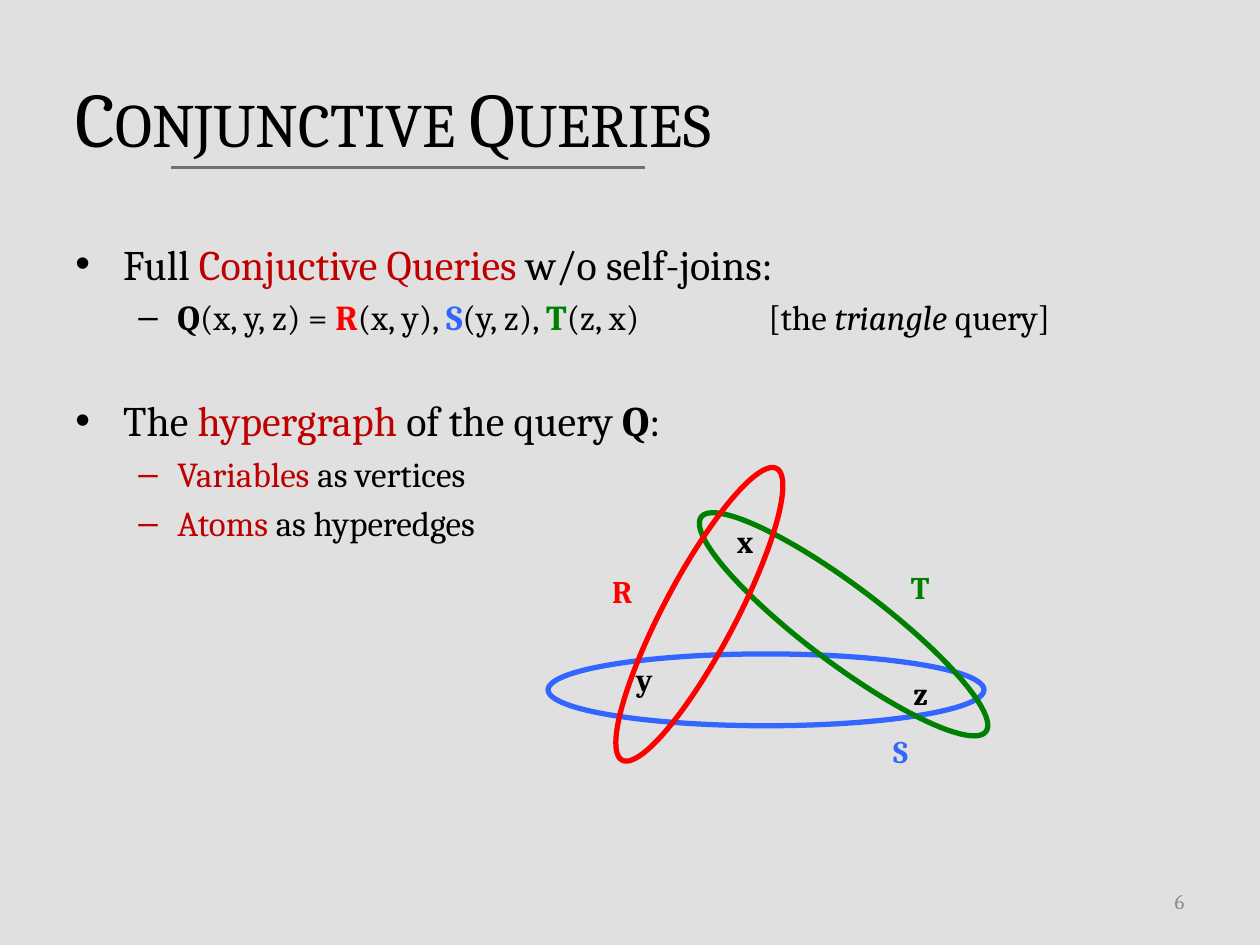
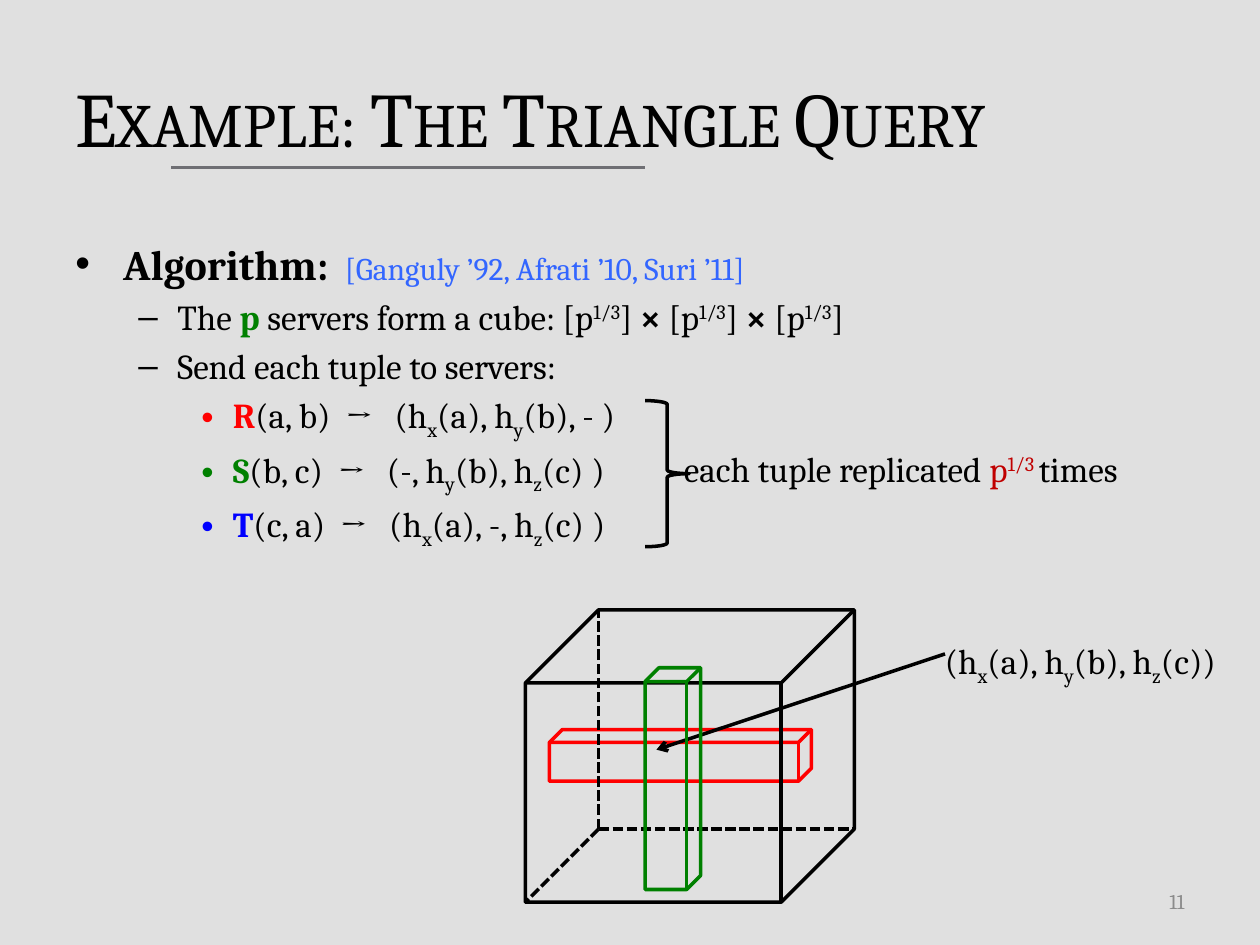
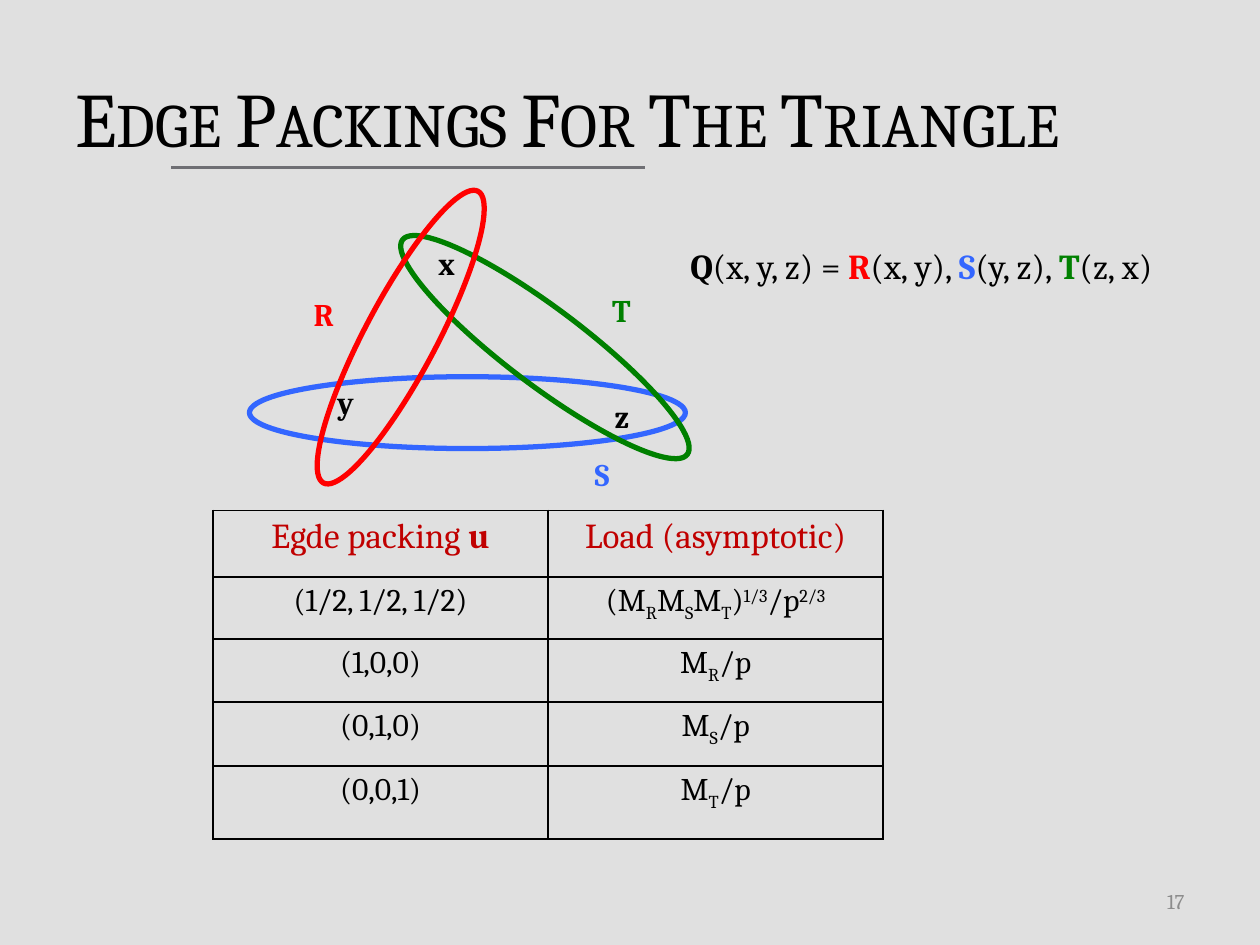
from lxml import etree
from pptx import Presentation
from pptx.dml.color import RGBColor
from pptx.enum import dml, shapes, text
from pptx.oxml.ns import qn
from pptx.util import Inches, Pt

FONT = "Cambria"
BLACK, RED, GREEN = "000000", "FF0000", "008000"
BLUE, NAVY, WINE = "3366FF", "0000FF", "C00000"
PAGE, RULE, GREY = "E0E0E0", "6F6F74", "8C8C8C"
MARKS = {
    "*": {"bold": True},
    "~": {"italic": True},
    "^": {"base": 30},
    "_": {"base": -25},
    ">": {"gap": 4},
    "<": {"size": 18},
    "!": {"ink": WINE},
    "@": {"ink": RED},
    "%": {"ink": GREEN},
    "$": {"ink": BLUE},
    "&": {"ink": NAVY},
}
LEVELS = [("•", 0.38, 0.38, 24), ("–", 0.81, 0.31, 20), ("•", 1.25, 0.25, 20)]
QUERY = "*Q|(x, y, z) = |*@R|(x, y), |*$S|(y, z), |*%T|(z, x)"
POINT = "(h|_x|(a), h|_y|(b), h|_z|(c))"


def paint(code):
    return RGBColor.from_string(code)


def node(parent, tag, **attrs):
    return etree.SubElement(parent, qn(tag), attrs)


def write(para, words, size=20, ink=BLACK, bold=False, italic=False,
          base=0, gap=0, caps=False):
    look = dict(size=size, ink=ink, bold=bold, italic=italic, base=base, gap=gap)
    for piece in words.split("|"):
        style = dict(look)
        while piece[0] in MARKS:
            style.update(MARKS[piece[0]])
            piece = piece[1:]
        run = para.add_run()
        run.text = piece
        font = run.font
        font.name, font.size = FONT, Pt(style["size"])
        font.bold, font.italic = style["bold"], style["italic"]
        font.color.rgb = paint(style["ink"])
        props = run._r.get_or_add_rPr()
        if style["base"]:
            props.set("baseline", str(style["base"] * 1000))
        if style["gap"]:
            props.set("spc", str(style["gap"] * 100))
        if caps:
            props.set("cap", "small")


def frame(slide, box, wrap=True, middle=False):
    area = slide.shapes.add_textbox(*map(Inches, box)).text_frame
    area.word_wrap = wrap
    if middle:
        area.vertical_anchor = text.MSO_ANCHOR.MIDDLE
    return area


def label(slide, box, words, **look):
    write(frame(slide, box, wrap=False).paragraphs[0], words, **look)


def outline(slide, kind, box, ink, width=2, turn=0):
    form = slide.shapes.add_shape(kind, *map(Inches, box))
    form.shadow.inherit = False
    form.fill.background()
    form.line.color.rgb = paint(ink)
    form.line.width = Pt(width)
    form.rotation = turn


def line(slide, start, end, ink=BLACK, dash=False, arrow=False):
    link = slide.shapes.add_connector(
        shapes.MSO_CONNECTOR.STRAIGHT, *map(Inches, start + end))
    link.line.color.rgb = paint(ink)
    link.line.width = Pt(2)
    if dash:
        link.line.dash_style = dml.MSO_LINE.SQUARE_DOT
    if arrow:
        node(link.line._get_or_add_ln(), "a:tailEnd", type="arrow")
    node(link._element.spPr, "a:effectLst")


def page(deck, title, number):
    slide = deck.slides.add_slide(deck.slide_layouts[6])
    fill = slide.background.fill
    fill.solid()
    fill.fore_color.rgb = paint(PAGE)
    head = frame(slide, (0.5, 0.3, 9, 1.25), middle=True)
    write(head.paragraphs[0], title, size=44, caps=True)
    foot = frame(slide, (7.17, 6.95, 2.33, 0.4), middle=True).paragraphs[0]
    foot.alignment = text.PP_ALIGN.RIGHT
    write(foot, str(number), size=12, ink=GREY)
    line(slide, (1.36, 1.33), (5.12, 1.33), RULE)
    return slide


def outlined(slide, box, items):
    area = frame(slide, box)
    for spot, (level, words, *extra) in enumerate(items):
        para = area.add_paragraph() if spot else area.paragraphs[0]
        mark, left, hang, size = LEVELS[level]
        props = para._p.get_or_add_pPr()
        props.set("marL", str(Inches(left)))
        props.set("indent", str(-Inches(hang)))
        props.set("defTabSz", str(Inches(0.5)))
        node(props, "a:buFont", typeface="Arial")
        node(props, "a:buChar", char=mark)
        para.level = level
        if spot:
            para.space_before = Pt(size * 0.2 + sum(extra))
        write(para, words, size=size)


def graph(slide, x, y):
    for dx, dy, wide, tall, turn, ink in [
        (0.11, 1.1, 3.46, 0.57, 0, BLUE),
        (1.04, 0.56, 2.83, 0.61, 37, GREEN),
        (0, 0.5, 2.62, 0.57, 117.9, RED),
    ]:
        outline(slide, shapes.MSO_SHAPE.OVAL, (x + dx, y + dy, wide, tall),
                ink, 3, turn)
    for name, dx, dy, ink in [
        ("x", 1.51, 0, BLACK), ("y", 0.71, 1.1, BLACK), ("z", 2.91, 1.21, BLACK),
        ("R", 0.52, 0.4, RED), ("S", 2.75, 1.67, BLUE), ("T", 2.89, 0.37, GREEN),
    ]:
        label(slide, (x + dx, y + dy, 0.35, 0.4), name, size=18, ink=ink, bold=True)


def cube(slide, x, y, wide, tall):
    solid = shapes.MSO_SHAPE.CUBE
    outline(slide, solid, (x + 0.19, y + 0.95, 2.08, 0.41), RED)
    outline(slide, solid, (x, y, wide, tall), BLACK)
    depth = tall / 4
    corner = (x + depth, y + tall - depth)
    for end in [(x, y + tall), (x + wide, corner[1]), (corner[0], y)]:
        line(slide, corner, end, dash=True)
    line(slide, (x + 3.33, y + 0.35), (x + 1.04, y + 1.11), arrow=True)
    label(slide, (x + 3.23, y + 0.19, 2.45, 0.44), POINT)
    outline(slide, solid, (x + 0.95, y + 0.46, 0.44, 1.76), GREEN)


def grid(slide, x, y, wide, heights, rows):
    count = len(rows[0])
    sizes = (x, y, wide, sum(heights))
    table = slide.shapes.add_table(len(rows), count, *map(Inches, sizes)).table
    table.first_row = table.horz_banding = False
    for column in table.columns:
        column.width = Inches(wide / count)
    for r, row in enumerate(rows):
        table.rows[r].height = Inches(heights[r])
        for c, words in enumerate(row):
            cell = table.cell(r, c)
            props = cell._tc.get_or_add_tcPr()
            for side in "LRTB":
                edge = node(props, "a:ln" + side, w=str(Pt(1)))
                node(node(edge, "a:solidFill"), "a:srgbClr", val=BLACK)
            cell.fill.background()
            para = cell.text_frame.paragraphs[0]
            para.alignment = text.PP_ALIGN.CENTER
            write(para, words, size=18 if r else 20, ink=BLACK if r else WINE)


def queries(deck):
    slide = page(deck, "Conjunctive Queries", 6)
    outlined(slide, (0.5, 1.84, 9, 2.4), [
        (0, "Full |!Conjuctive Queries |w/o self-joins:"),
        (1, QUERY + "|\t\t\t[the |~triangle| query]"),
        (0, "The |!hypergraph |of the query |*Q|:", 28),
        (1, "!Variables |as vertices"),
        (1, "!Atoms |as hyperedges"),
    ])
    graph(slide, 4.24, 4.09)


def example(deck):
    slide = page(deck, "Example: The Triangle Query", 11)
    outlined(slide, (0.5, 1.84, 9, 3.1), [
        (0, "*Algorithm:|> |<$[Ganguly ’92, Afrati ’10, Suri ’11]"),
        (1, "The |*%p| servers form a cube: [p|^1/3|] |*× |[p|^1/3|]|* ×| [p|^1/3|]"),
        (1, "Send each tuple to servers:"),
        (2, "*@R|(a, b)|> → |(h|_x|(a), h|_y|(b), - )"),
        (2, "*%S|(b, c)|> → |(-, h|_y|(b), h|_z|(c) )"),
        (2, "*&T|(c, a)|> → |(h|_x|(a), -, h|_z|(c) )"),
    ])
    outline(slide, shapes.MSO_SHAPE.RIGHT_BRACE, (5.12, 3.18, 0.35, 1.16), BLACK)
    label(slide, (5.33, 3.5, 3.7, 0.44), "each tuple replicated |!p|!^1/3 |times")
    cube(slide, 4.17, 4.84, 2.61, 2.32)


def packings(deck):
    slide = page(deck, "Edge Packings For The Triangle", 17)
    grid(slide, 1.69, 4.05, 5.32, [0.53, 0.49, 0.5, 0.51, 0.58], [
        ("Egde packing |*u", "Load (asymptotic)"),
        ("(1/2, 1/2, 1/2)", "(M|_R|M|_S|M|_T|)|^1/3|/p|^2/3"),
        ("(1,0,0)", "M|_R|/p"),
        ("(0,1,0)", "M|_S|/p"),
        ("(0,0,1)", "M|_T|/p"),
    ])
    graph(slide, 1.87, 1.89)
    label(slide, (5.38, 1.89, 4.09, 0.44), QUERY)


def main():
    deck = Presentation()
    deck.slide_width, deck.slide_height = Inches(10), Inches(7.5)
    for build in (queries, example, packings):
        build(deck)
    deck.save("out.pptx")


if __name__ == "__main__":
    main()
